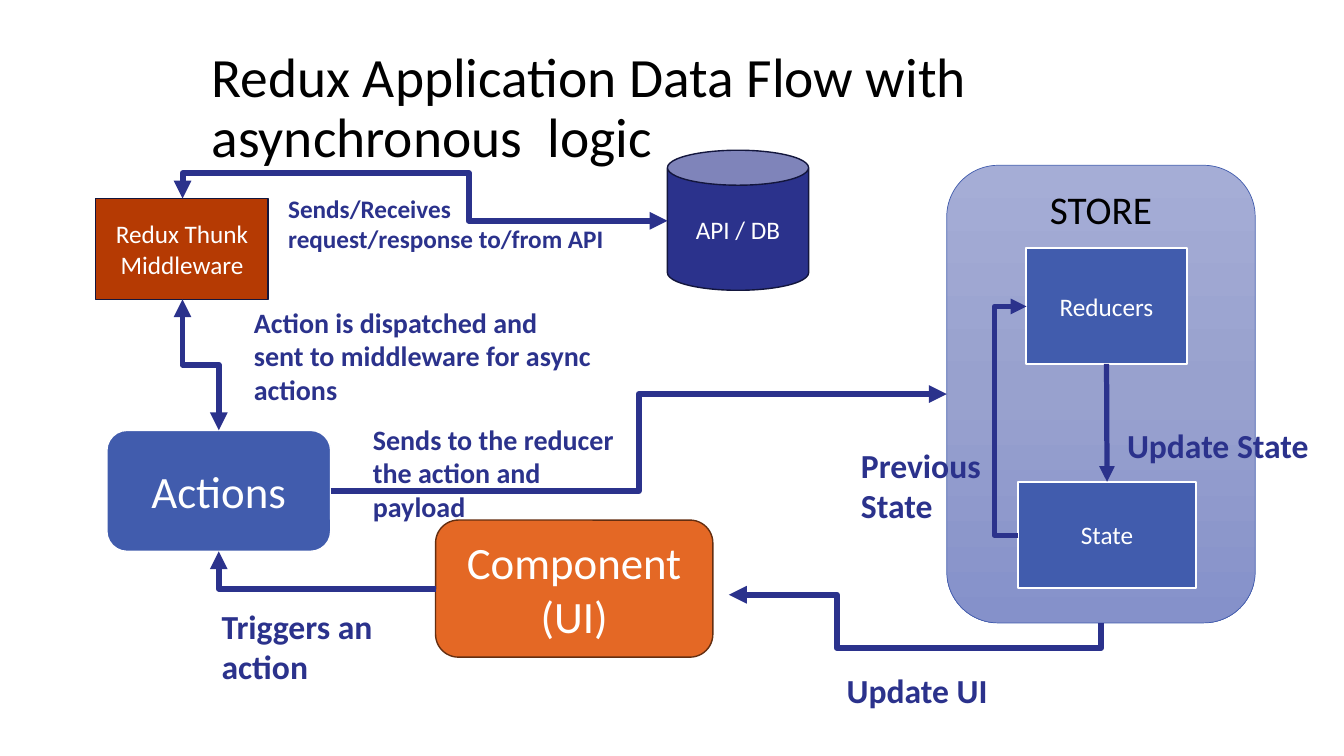
import copy
import math

import lxml.etree
import pptx
import pptx.dml.color
import pptx.enum.shapes
import pptx.enum.text
import pptx.oxml.ns
import pptx.util

Inches = pptx.util.Inches
Pt = pptx.util.Pt
SHAPE = pptx.enum.shapes.MSO_SHAPE
CONNECTOR = pptx.enum.shapes.MSO_CONNECTOR
ANCHOR = pptx.enum.text.MSO_ANCHOR
ALIGN = pptx.enum.text.PP_ALIGN

FONT = "Calibri"
COLORS = {
    "black": "000000",
    "white": "FFFFFF",
    "navy": "2B328C",
    "midnight": "13163D",
    "blue": "415CAD",
    "orange": "E46825",
    "brown": "642E10",
    "rust": "B53A03",
    "store_top": "A5ADD6",
    "store_middle": "98A1CE",
    "store_bottom": "8591CA",
}


def color(name):
    return pptx.dml.color.RGBColor.from_string(COLORS[name])


def write(frame, text, size, color_name, bold=False, align=ALIGN.LEFT):
    frame.word_wrap = True
    frame.text = text
    for para in frame.paragraphs:
        para.alignment = align
        for span in para.runs:
            span.font.name = FONT
            span.font.size = Pt(size)
            span.font.bold = bold
            span.font.color.rgb = color(color_name)


def add_label(page, left, top, width, height, text, size):
    box = page.shapes.add_textbox(Inches(left), Inches(top), Inches(width), Inches(height))
    write(box.text_frame, text, size, "navy", bold=True)


def add_node(page, kind, left, top, width, height, text, size, fill, line,
             line_width=1, text_color="white"):
    node = page.shapes.add_shape(kind, Inches(left), Inches(top), Inches(width), Inches(height))
    node.shadow.inherit = False
    node.fill.solid()
    node.fill.fore_color.rgb = color(fill)
    node.line.color.rgb = color(line)
    node.line.width = Pt(line_width)
    write(node.text_frame, text, size, text_color, align=ALIGN.CENTER)
    node.text_frame.vertical_anchor = ANCHOR.MIDDLE
    return node


def style_arrow(arrow, width, both_ends=False):
    arrow.line.color.rgb = color("navy")
    arrow.line.width = Pt(width)
    line = arrow.line._get_or_add_ln()
    for tag in ["a:headEnd", "a:tailEnd"] if both_ends else ["a:tailEnd"]:
        lxml.etree.SubElement(line, pptx.oxml.ns.qn(tag), type="triangle")
    lxml.etree.SubElement(arrow._element.spPr, pptx.oxml.ns.qn("a:effectLst"))


def add_elbow(page, start, end, turn, bends, width=4.25, both_ends=False):
    center_x, center_y = (start[0] + end[0]) / 2, (start[1] + end[1]) / 2
    cosine, sine = math.cos(math.radians(turn)), math.sin(math.radians(turn))
    across, down = start[0] - center_x, start[1] - center_y
    shift_x = across * cosine + down * sine
    shift_y = down * cosine - across * sine
    arrow = page.shapes.add_connector(
        CONNECTOR.ELBOW,
        Inches(center_x + shift_x), Inches(center_y + shift_y),
        Inches(center_x - shift_x), Inches(center_y - shift_y))
    properties = arrow._element.spPr
    properties.find(pptx.oxml.ns.qn("a:xfrm")).set("rot", str(turn * 60000))
    geometry = properties.find(pptx.oxml.ns.qn("a:prstGeom"))
    geometry.set("prst", f"bentConnector{len(bends) + 2}")
    guides = geometry.find(pptx.oxml.ns.qn("a:avLst"))
    if guides is None:
        guides = lxml.etree.SubElement(geometry, pptx.oxml.ns.qn("a:avLst"))
    for number, bend in enumerate(bends, 1):
        lxml.etree.SubElement(guides, pptx.oxml.ns.qn("a:gd"), name=f"adj{number}",
                              fmla=f"val {round(bend * 100000)}")
    style_arrow(arrow, width, both_ends)


def add_title(page, left, top, width, height):
    box = page.shapes.add_textbox(Inches(left), Inches(top), Inches(width), Inches(height))
    write(box.text_frame, "Redux Application Data Flow with asynchronous  logic", 39.6, "black")
    box.text_frame.vertical_anchor = ANCHOR.MIDDLE
    box.text_frame.paragraphs[0].line_spacing = 0.9


def fill_store(panel):
    panel.fill.gradient()
    panel.fill.gradient_angle = 270
    first = panel.fill.gradient_stops[0]._gs
    first.addnext(copy.deepcopy(first))
    names = ["store_top", "store_middle", "store_bottom"]
    for position, (stop, name) in enumerate(zip(panel.fill.gradient_stops, names)):
        stop.position = position / 2
        stop.color.rgb = color(name)


def add_store(page, left, top, width, height):
    panel = add_node(page, SHAPE.ROUNDED_RECTANGLE, left, top, width, height,
                     "STORE", 28, "store_top", "blue", 0.5, "black")
    panel.text_frame.vertical_anchor = ANCHOR.TOP
    fill_store(panel)
    reducers = add_node(page, SHAPE.RECTANGLE, left + 0.79, top + 0.82, 1.59, 1.15,
                        "Reducers", 18, "blue", "white", 1.5)
    state = add_node(page, SHAPE.RECTANGLE, left + 0.71, top + 3.14, 1.76, 1.05,
                     "State", 18, "blue", "white", 1.5)
    update = page.shapes.add_connector(CONNECTOR.STRAIGHT, 0, 0, 0, 0)
    update.begin_connect(reducers, 2)
    update.end_connect(state, 0)
    style_arrow(update, 3.75)
    add_elbow(page, (left + 0.71, top + 3.67), (left + 0.79, top + 1.4), 180, [-2.99], 3.75)
    add_label(page, left + 1.69, top + 2.53, 2.13, 0.5, "Update State", 24)
    add_label(page, left - 0.95, top + 2.72, 1.42, 0.91, "Previous State", 24)


def add_middleware(page, left, top):
    add_node(page, SHAPE.RECTANGLE, left, top, 1.71, 1,
             "Redux Thunk Middleware", 18, "rust", "midnight")
    add_node(page, SHAPE.CAN, left + 5.67, top - 0.48, 1.4, 1.39,
             "API / DB", 18, "navy", "midnight")
    add_elbow(page, (left + 0.86, top), (left + 5.67, top + 0.22), 270, [-1.15, 0.59],
              both_ends=True)
    add_label(page, left + 1.81, top - 0.1, 3.56, 0.71,
              "Sends/Receives request/response to/from API", 18)


def add_interface(page, left, top):
    add_node(page, SHAPE.ROUNDED_RECTANGLE, left + 3.26, top + 0.89, 2.75, 1.36,
             "Component\n(UI)", 32, "orange", "brown")
    add_node(page, SHAPE.ROUNDED_RECTANGLE, left, top, 2.22, 1.2,
             "Actions", 32, "blue", "white")
    add_elbow(page, (left + 3.26, top + 1.57), (left + 1.11, top + 1.2), 180, [])
    add_label(page, left + 1.04, top + 1.69, 2.13, 0.91, "Triggers an action", 24)


def add_links(page):
    add_elbow(page, (10.92, 6.18), (7.23, 5.9), 90, [-0.89, 0.71])
    add_label(page, 8.3, 6.6, 2.13, 0.5, "Update UI", 24)
    add_elbow(page, (2.17, 4.27), (1.81, 2.97), 270, [0.5], both_ends=True)
    add_label(page, 2.42, 2.98, 3.56, 1.11,
              "Action is dispatched and sent to middleware for async actions", 20)
    add_elbow(page, (3.28, 4.87), (9.39, 3.91), 0, [0.5])
    add_label(page, 3.6, 4.14, 2.77, 1.11, "Sends to the reducer the action and payload", 20)


def main():
    deck = pptx.Presentation()
    deck.slide_width, deck.slide_height = Inches(13.33), Inches(7.5)
    page = deck.slides.add_slide(deck.slide_layouts[6])
    add_title(page, 2, 0.4, 10.42, 1.38)
    add_store(page, 9.39, 1.64, 3.06, 4.54)
    add_middleware(page, 0.95, 1.97)
    add_interface(page, 1.06, 4.27)
    add_links(page)
    deck.save("out.pptx")


if __name__ == "__main__":
    main()
